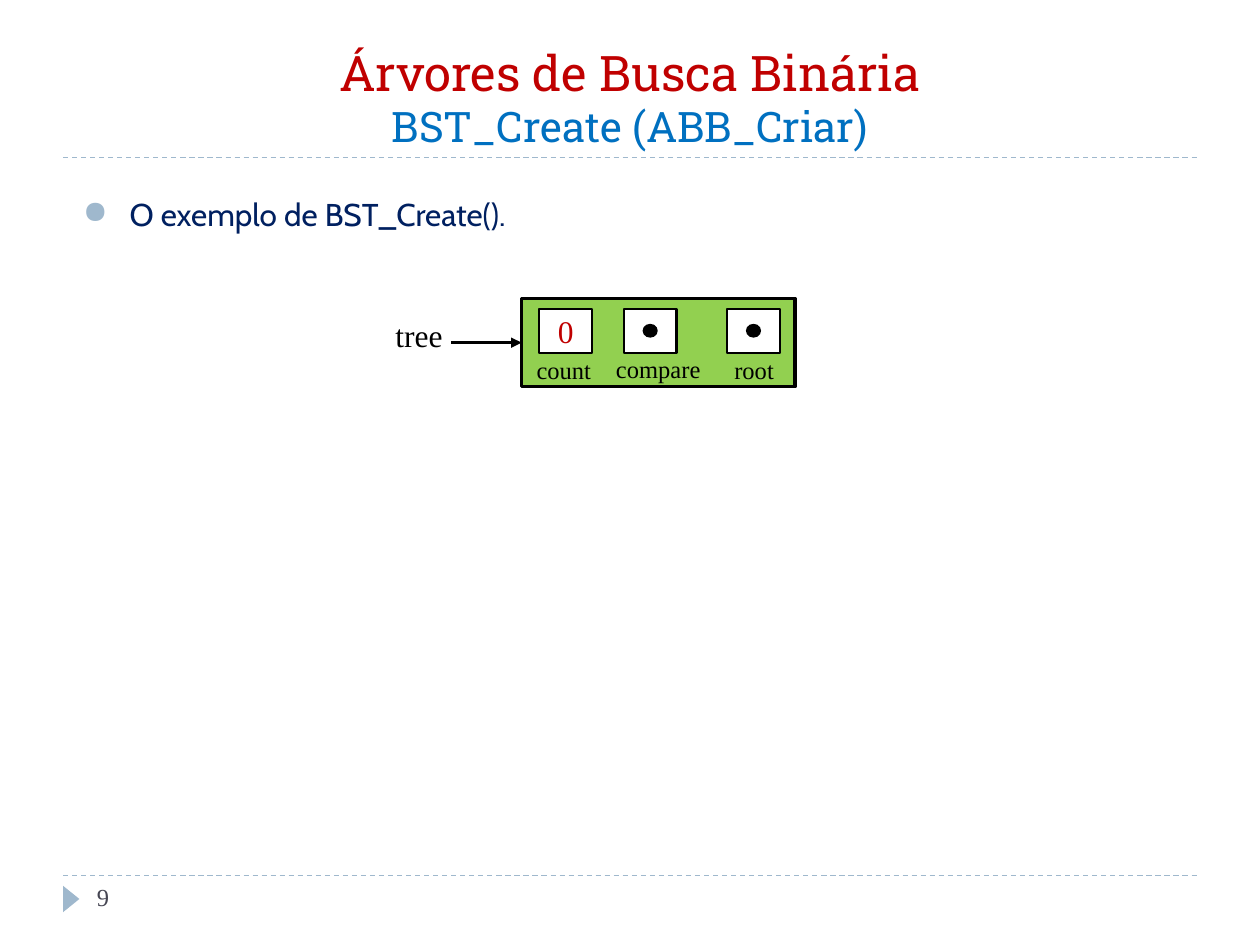
import dataclasses

import pptx
import pptx.dml.color
import pptx.enum.dml
import pptx.enum.shapes
import pptx.enum.text
import pptx.oxml
import pptx.oxml.ns
import pptx.util

SHAPE = pptx.enum.shapes.MSO_SHAPE
ALIGN = pptx.enum.text.PP_ALIGN
ANCHOR = pptx.enum.text.MSO_ANCHOR
COLUMNS, ROWS = 100, 75


@dataclasses.dataclass(frozen=True)
class Theme:
    title_font: str = "Roboto Slab"
    body_font: str = "Cabin"
    diagram_font: str = "Times New Roman"
    title_size: int = 28
    subtitle_size: int = 24
    body_size: int = 18
    label_size: int = 14
    red: str = "C00000"
    blue: str = "0070C0"
    navy: str = "002060"
    accent: str = "9FB8CD"
    slate: str = "464653"
    green: str = "92D050"
    black: str = "000000"
    white: str = "FFFFFF"


def rgb(color):
    return pptx.dml.color.RGBColor.from_string(color)


def append_xml(parent, tag, attributes="", content=""):
    namespace = pptx.oxml.ns.nsdecls("a")
    parent.append(pptx.oxml.parse_xml(f"<a:{tag} {namespace} {attributes}>{content}</a:{tag}>"))


class SlideBuilder:
    """Draws on one slide; places are (left, top, width, height) in grid columns and rows."""

    def __init__(self, deck, theme):
        self.theme = theme
        self.column = deck.slide_width / COLUMNS
        self.row = deck.slide_height / ROWS
        self.page = deck.slides.add_slide(deck.slide_layouts[6])
        self.shapes = self.page.shapes

    def start_group(self):
        self.shapes = self.page.shapes.add_group_shape().shapes

    def end_group(self):
        self.shapes = self.page.shapes

    def place(self, left, top, width, height):
        return [pptx.util.Emu(round(length * unit)) for length, unit in
                zip((left, top, width, height), (self.column, self.row) * 2)]

    def style(self, font, name, size, color):
        font.name = name
        font.size = pptx.util.Pt(size)
        font.color.rgb = rgb(color)

    def text(self, place, words, size, color, font=None, wrap=False, align=ALIGN.LEFT):
        box = self.shapes.add_textbox(*self.place(*place))
        box.text_frame.word_wrap = wrap
        para = box.text_frame.paragraphs[0]
        para.text = words
        para.alignment = align
        self.style(para.font, font or self.theme.diagram_font, size, color)
        return box

    def title(self, place, heading, subheading):
        theme = self.theme
        box = self.text(place, "", theme.title_size, theme.red, theme.title_font, True, ALIGN.CENTER)
        box.text_frame.vertical_anchor = ANCHOR.BOTTOM
        para = box.text_frame.paragraphs[0]
        lines = ((heading, theme.title_size, theme.red), (subheading, theme.subtitle_size, theme.blue))
        for number, (words, size, color) in enumerate(lines):
            if number:
                para.add_line_break()
            span = para.add_run()
            span.text = words
            self.style(span.font, theme.title_font, size, color)

    def bullet(self, place, words):
        theme = self.theme
        box = self.text(place, words, theme.body_size, theme.navy, theme.body_font, True, ALIGN.JUSTIFY)
        properties = box.text_frame.paragraphs[0]._p.get_or_add_pPr()
        indent = pptx.util.Inches(0.37)
        properties.set("marL", str(indent))
        properties.set("indent", str(-indent))
        default_font = properties.find(pptx.oxml.ns.qn("a:defRPr"))
        properties.remove(default_font)
        append_xml(properties, "buClr", content=f'<a:srgbClr val="{theme.accent}"/>')
        append_xml(properties, "buChar", 'char="●"')
        properties.append(default_font)

    def shape(self, kind, place, fill, line_width=0, words="", color=None):
        shape = self.shapes.add_shape(kind, *self.place(*place))
        shape.shadow.inherit = False
        shape.fill.solid()
        shape.fill.fore_color.rgb = rgb(fill)
        if line_width:
            shape.line.color.rgb = rgb(self.theme.black)
            shape.line.width = pptx.util.Pt(line_width)
        else:
            shape.line.fill.background()
        if words:
            shape.text_frame.vertical_anchor = ANCHOR.MIDDLE
            para = shape.text_frame.paragraphs[0]
            para.text = words
            para.alignment = ALIGN.CENTER
            self.style(para.font, self.theme.diagram_font, self.theme.body_size, color)
        return shape

    def horizontal_line(self, left, right, top, color, width, dashed=False, arrow=False):
        start_x, y, end_x, _ = self.place(left, top, right, 0)
        line = self.shapes.add_connector(
            pptx.enum.shapes.MSO_CONNECTOR.STRAIGHT, start_x, y, end_x, y)
        line.line.color.rgb = rgb(color)
        line.line.width = pptx.util.Pt(width)
        if dashed:
            line.line.dash_style = pptx.enum.dml.MSO_LINE.DASH
        if arrow:
            append_xml(line.line._get_or_add_ln(), "tailEnd", 'type="triangle"')
        append_xml(line._element.spPr, "effectLst")

    def field(self, cell_left, label_left, label_top, label_width, name, value=None):
        """Draws a record's field: a cell holding a value or a pointer dot, and its label."""
        theme = self.theme
        cell_top, cell_width, cell_height = 24.5, 4.2, 3.5
        dot_width, dot_height = 1.2, 1.1
        self.shape(SHAPE.RECTANGLE, (cell_left, cell_top, cell_width, cell_height),
                   theme.white, 1.25, value, theme.red)
        if not value:
            dot_left = cell_left + (cell_width - dot_width) / 2
            dot_top = cell_top + (cell_height - dot_height) / 2
            self.shape(SHAPE.OVAL, (dot_left, dot_top, dot_width, dot_height), theme.black)
        self.text((label_left, label_top, label_width, 3.4), name, theme.label_size, theme.black)


def main():
    deck = pptx.Presentation()
    deck.slide_width = pptx.util.Inches(10)
    deck.slide_height = pptx.util.Inches(7.5)
    theme = Theme()
    slide = SlideBuilder(deck, theme)

    for rule_top in (69.5, 12.5):
        slide.horizontal_line(5, 95, rule_top, theme.accent, 0.75, dashed=True)
    marker = slide.shape(SHAPE.ISOSCELES_TRIANGLE, (4.6, 70.7, 2.1, 1.3), theme.accent)
    marker.rotation = 90

    slide.title((5, 2.5, 90, 10), "Árvores de Busca Binária", "BST_Create (ABB_Criar)")
    slide.bullet((5.6, 15, 36, 4.2), "O exemplo de BST_Create().")
    slide.text((6.7, 69.5, 21.7, 4), "9", theme.label_size, theme.slate, wrap=True)

    slide.start_group()
    slide.shape(SHAPE.RECTANGLE, (41.4, 23.7, 21.7, 7), theme.green, 2)
    slide.field(42.8, 41.6, 27.7, 6.5, "count", "0")
    slide.field(49.5, 47.9, 27.6, 8.9, "compare")
    slide.field(57.7, 57.3, 27.7, 5.3, "root")
    slide.end_group()

    slide.horizontal_line(35.8, 41.4, 27.2, theme.black, 1.5, arrow=True)
    slide.text((30.4, 24.6, 5.8, 4), "tree", theme.body_size, theme.black)

    deck.save("out.pptx")


if __name__ == "__main__":
    main()
